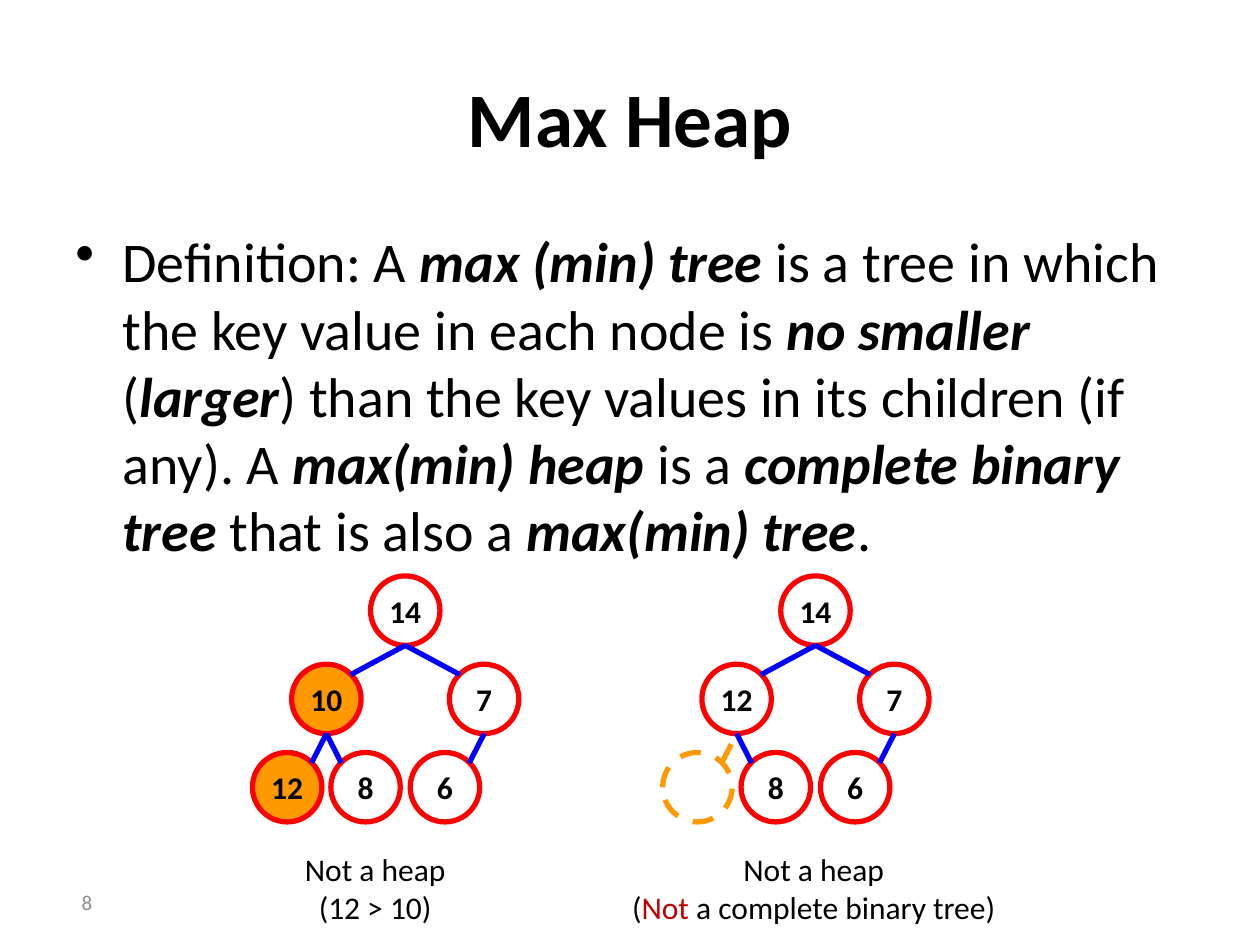
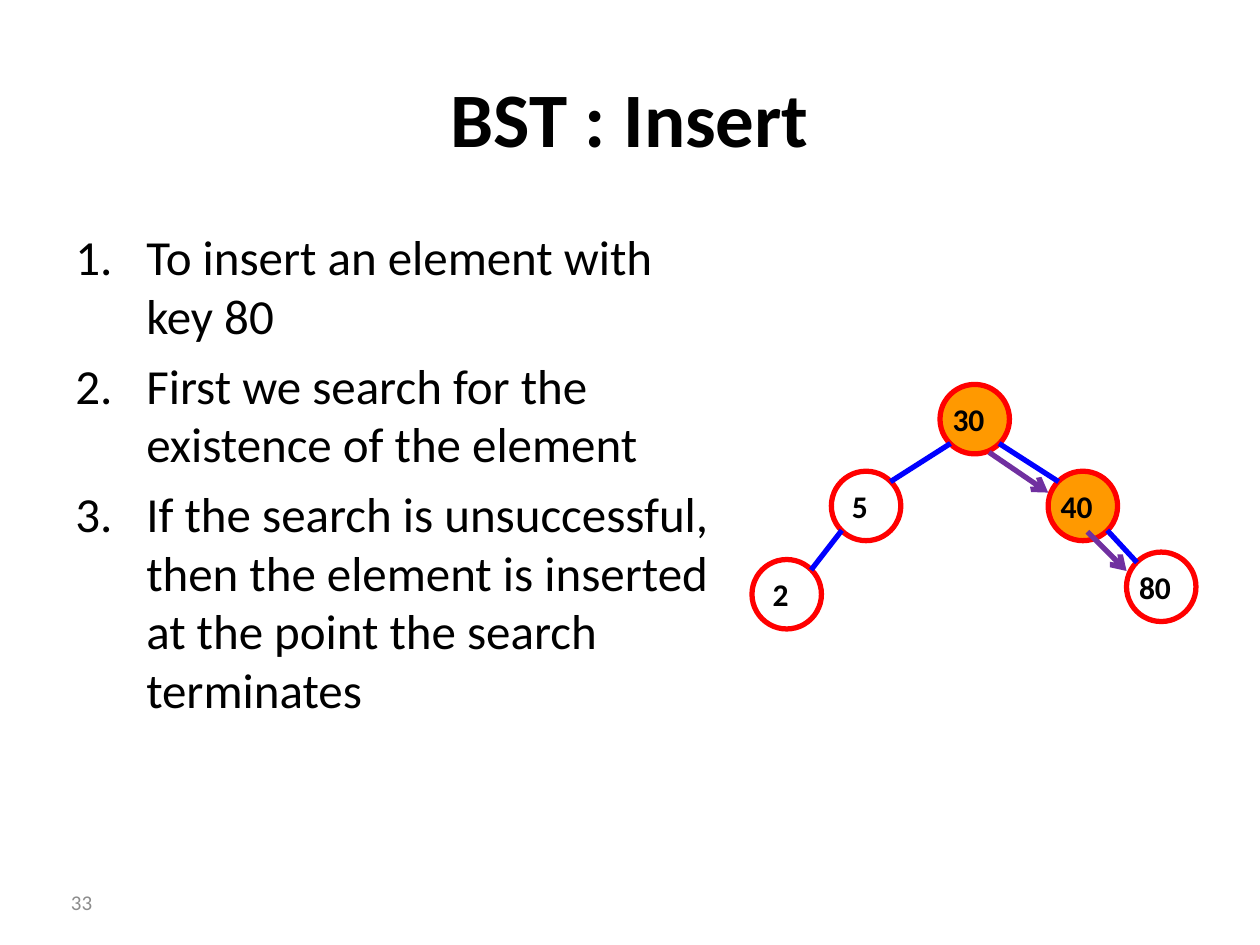
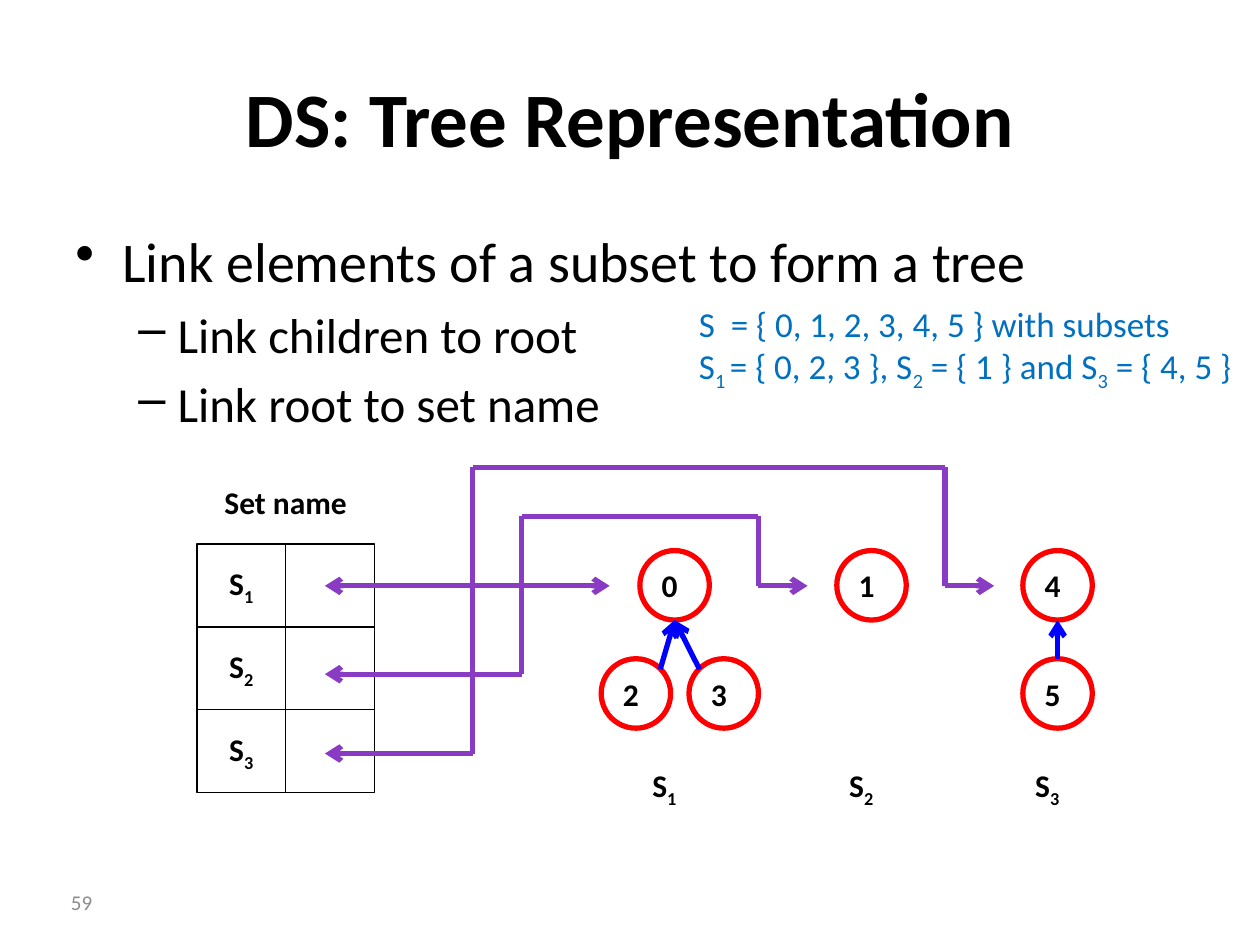
import itertools
import pptx
import pptx.dml.color
import pptx.enum.dml
import pptx.enum.shapes
import pptx.enum.text
import pptx.oxml
import pptx.oxml.ns
import pptx.util

Cm, Pt = pptx.util.Cm, pptx.util.Pt
ALIGN = pptx.enum.text.PP_ALIGN
ANCHOR = pptx.enum.text.MSO_ANCHOR
SHAPE = pptx.enum.shapes.MSO_SHAPE

HUES = {"ink": "000000", "red": "FF0000", "blue": "0000FF", "hot": "FF9900",
        "page": "8C8C8C", "step": "7030A0", "route": "893BC3",
        "note": "0070C0", "alert": "C00000"}
BASE = {"name": "Calibri", "size": Pt(18), "bold": False, "italic": False}
KEY = {"bold": True}
MARKS = {"strong": {"bold": True, "italic": True}, "sub": {"sub": True},
         "alert": {"hue": "alert"}}
DOT = {"tag": "buChar", "attr": 'char="•"', "left": 0.95, "hang": 0.95, "size": 32}
DASH = {"tag": "buChar", "attr": 'char="–"', "left": 2.06, "hang": 0.79, "size": 28}
COUNT = {"tag": "buAutoNum", "attr": 'type="arabicPeriod"', "left": 1.43,
         "hang": 1.43, "size": 28}
SIZE = 1.4
LOW, HIGH = 0.15, 0.85

HEAP = {
    "title": "Max Heap", "page": "8", "wide": 22.86,
    "body": [(DOT, "Definition: A |max (min) tree| is a tree in which the key value in "
              "each node is |no smaller| (|larger|) than the key values in its children "
              "(if any). A |max(min) heap |is a |complete binary tree |that is also a "
              "|max(min) tree|.")],
    "trees": [(8.17, [14, 10, 7, 12, 8, 6], {1, 3}),
              (16.44, [14, 12, 7, None, 8, 6], set())],
    "notes": [((4.29, 16.76, 6.55, 2.27), ["Not a heap", "(12 > 10)"]),
              ((11.3, 16.76, 10.21, 2.27),
               ["Not a heap", "(|Not |a complete binary tree)"])],
}
TOP, ROW, SPREAD = 11.61, 1.78, [0, 1.59, 0.79]

INSERT = {
    "title": "BST : Insert", "page": "33", "wide": 13.44,
    "body": [(COUNT, "To insert an element with key 80"),
             (COUNT, "First we search for the existence of the element"),
             (COUNT, "If the search is unsuccessful, then the element is inserted "
                     "at the point the search terminates")],
    "nodes": {30: (18.95, 7.75), 5: (16.76, 9.5), 40: (21.13, 9.5),
              2: (15.16, 11.28), 80: (22.71, 11.13)},
    "hot": {30, 40},
    "edges": [(30, 5), (30, 40), (5, 2), (40, 80)],
    "steps": [((19.94, 9.12), (21.13, 9.93)), ((21.92, 10.72), (22.71, 11.51))],
}

SETS = {
    "title": "DS: Tree Representation", "page": "59", "wide": 22.86,
    "body": [(DOT, "Link elements of a subset to form a tree"),
             (DASH, "Link children to root"), (DASH, "Link root to set name")],
    "names": ["S|1|", "S|2|", "S|3|"],
    "nodes": {0: (12.9, 11.1), 1: (16.87, 11.1), 4: (20.62, 11.1),
              2: (12.12, 13.28), 3: (13.89, 13.28), 5: (20.62, 13.28)},
    "roots": [0, 1, 4],
    "links": [(3, 0, (LOW, LOW)), (2, 0, (HIGH, LOW)), (5, 4, (0.5, 0))],
    "routes": [
        [(6.55, 11.81), (12.29, 11.81)],
        [(6.55, 13.59), (10.52, 13.59), (10.52, 10.41), (15.29, 10.41),
         (15.29, 11.81), (16.28, 11.81)],
        [(6.55, 15.19), (9.53, 15.19), (9.53, 9.42), (19.05, 9.42),
         (19.05, 11.81), (20.04, 11.81)]],
    "note": ["S  = { 0, 1, 2, 3, 4, 5 } with subsets",
             "S|1 |= { 0, 2, 3 }, S|2| = { 1 } and S|3| = { 4, 5 }"],
}
GRID = {"left": 3.97, "top": 10.97, "wide": 1.79, "high": 1.67}


def tint(name):
    return pptx.dml.color.RGBColor.from_string(HUES[name])


def apply(thing, values):
    for name, value in values.items():
        setattr(thing, name, value)


def write(par, text, form=None, hue="ink", mark="sub", align=ALIGN.LEFT):
    par.alignment = align
    for spot, bit in enumerate(text.split("|")):
        if not bit:
            continue
        extra = dict(MARKS[mark]) if spot % 2 else {}
        low, shade = extra.pop("sub", False), extra.pop("hue", hue)
        run = par.add_run()
        run.text = bit
        apply(run.font, {**BASE, **(form or {}), **extra})
        run.font.color.rgb = tint(shade)
        if low:
            run._r.get_or_add_rPr().set("baseline", "-25000")


def label(slide, box, lines, pad=(0.25, 0.38), anchor=ANCHOR.TOP, **look):
    frame = slide.shapes.add_textbox(*map(Cm, box)).text_frame
    side, edge = map(Cm, pad)
    apply(frame, {"word_wrap": True, "vertical_anchor": anchor, "margin_left": side,
                  "margin_right": side, "margin_top": edge, "margin_bottom": edge})
    for spot, text in enumerate(lines):
        write(frame.add_paragraph() if spot else frame.paragraphs[0], text, **look)


def outline(slide, kind, box, hue, width, text="", fill=None, shift=0, dash=False):
    shape = slide.shapes.add_shape(kind, *map(Cm, box))
    shape.shadow.inherit = False
    if fill:
        shape.fill.solid()
        shape.fill.fore_color.rgb = tint(fill)
    else:
        shape.fill.background()
    shape.line.color.rgb = tint(hue)
    shape.line.width = Pt(width)
    if dash:
        shape.line.dash_style = pptx.enum.dml.MSO_LINE.DASH
    frame = shape.text_frame
    apply(frame, {"word_wrap": True, "vertical_anchor": ANCHOR.MIDDLE,
                  "margin_left": 0, "margin_right": Cm(shift),
                  "margin_top": 0, "margin_bottom": 0})
    write(frame.paragraphs[0], text, KEY, align=ALIGN.CENTER)


def node(slide, place, text, hue="red", **look):
    outline(slide, SHAPE.OVAL, (*place, SIZE, SIZE), hue, 3, text, **look)


def spot(place, part):
    return tuple(at + SIZE * share for at, share in zip(place, part))


def line(slide, start, end, hue, tips=(), dash=False):
    link = slide.shapes.add_connector(pptx.enum.shapes.MSO_CONNECTOR.STRAIGHT,
                                      *map(Cm, (*start, *end)))
    link.line.color.rgb = tint(hue)
    link.line.width = Pt(3)
    if dash:
        link.line.dash_style = pptx.enum.dml.MSO_LINE.DASH
    props = link._element.spPr
    stroke = props.find(pptx.oxml.ns.qn("a:ln"))
    for tip in tips:
        stroke.append(pptx.oxml.parse_xml(
            f'<a:{tip} {pptx.oxml.ns.nsdecls("a")} type="arrow"/>'))
    props.append(pptx.oxml.parse_xml(f'<a:effectLst {pptx.oxml.ns.nsdecls("a")}/>'))


def start(deck, data):
    slide = deck.slides.add_slide(deck.slide_layouts[5])
    title = slide.shapes.title
    apply(title, {"left": Cm(1.27), "top": Cm(0.76),
                  "width": Cm(22.86), "height": Cm(3.18)})
    title.text_frame.vertical_anchor = ANCHOR.MIDDLE
    write(title.text_frame.paragraphs[0], data["title"],
          {"size": Pt(44), "bold": True}, align=ALIGN.CENTER)
    frame = slide.shapes.add_textbox(
        *map(Cm, (1.27, 4.45, data["wide"], 12.57))).text_frame
    frame.word_wrap = True
    for rank, (style, text) in enumerate(data["body"]):
        par = frame.add_paragraph() if rank else frame.paragraphs[0]
        props = par._p.get_or_add_pPr()
        props.set("marL", str(Cm(style["left"])))
        props.set("indent", str(-Cm(style["hang"])))
        props.append(pptx.oxml.parse_xml(
            f'<a:{style["tag"]} {pptx.oxml.ns.nsdecls("a")} {style["attr"]}/>'))
        if rank:
            par.space_before = Pt(6)
        write(par, text, {"size": Pt(style["size"])}, mark="strong")
    label(slide, (0, 17.68, 2.11, 1.02), [data["page"]], (0.25, 0.13), ANCHOR.MIDDLE,
          form={"size": Pt(12)}, hue="page", align=ALIGN.RIGHT)
    return slide


def tree(slide, root, keys, hot):
    places = []
    for rank, key in enumerate(keys):
        level = (rank + 1).bit_length() - 1
        side = -1 if rank % 2 else 1
        base = places[(rank - 1) // 2][0] if rank else root - SIZE / 2
        places.append((base + side * SPREAD[level], TOP + level * ROW))
        if key is None:
            node(slide, places[-1], "", "hot", dash=True)
        else:
            node(slide, places[-1], str(key), fill="hot" if rank in hot else None)
    for rank, key in enumerate(keys[1:], 1):
        corner = (HIGH if rank % 2 else LOW, LOW)
        line(slide, spot(places[rank], corner),
             spot(places[(rank - 1) // 2], (0.5, 1)),
             "hot" if key is None else "blue", dash=key is None)


def heap(deck):
    slide = start(deck, HEAP)
    for root, keys, hot in HEAP["trees"]:
        tree(slide, root, keys, hot)
    for box, lines in HEAP["notes"]:
        label(slide, box, lines, mark="alert", align=ALIGN.CENTER)


def insert(deck):
    slide = start(deck, INSERT)
    nodes = INSERT["nodes"]
    for key, place in nodes.items():
        node(slide, place, str(key), shift=0.25,
             fill="hot" if key in INSERT["hot"] else None)
    for top, low in INSERT["edges"]:
        near, far = (LOW, HIGH) if low < top else (HIGH, LOW)
        line(slide, spot(nodes[low], (far, LOW)), spot(nodes[top], (near, HIGH)), "blue")
    for begin, end in INSERT["steps"]:
        line(slide, begin, end, "step", ["tailEnd"])


def sets(deck):
    slide = start(deck, SETS)
    nodes = SETS["nodes"]
    wide, high = GRID["wide"], GRID["high"]
    for row, name in enumerate(SETS["names"]):
        for col, text in enumerate([name, ""]):
            box = (GRID["left"] + col * wide, GRID["top"] + row * high, wide, high)
            outline(slide, SHAPE.RECTANGLE, box, "ink", 0.75, text)
    label(slide, (GRID["left"], 9.35, 2 * wide, 1.55), ["Set name"],
          form=KEY, align=ALIGN.CENTER)
    for key, place in nodes.items():
        node(slide, place, str(key), shift=0.2)
    for root, name in zip(SETS["roots"], SETS["names"]):
        label(slide, (nodes[root][0], 15.06, 1.57, 1.68), [name], form=KEY)
    for route in SETS["routes"]:
        legs = list(itertools.pairwise(route))
        for rank, (begin, end) in enumerate(legs):
            tips = ["headEnd"] * (rank == 0) + ["tailEnd"] * (rank == len(legs) - 1)
            line(slide, begin, end, "route", tips)
    for low, top, part in SETS["links"]:
        line(slide, spot(nodes[low], part), spot(nodes[top], (0.5, 1)),
             "blue", ["tailEnd"])
    label(slide, (13.84, 5.97, 11.5, 1.96), SETS["note"], (0.25, 0.13),
          form={"size": Pt(20)}, hue="note")


def main():
    deck = pptx.Presentation()
    deck.slide_width, deck.slide_height = Cm(25.4), Cm(19.05)
    for build in (heap, insert, sets):
        build(deck)
    deck.save("out.pptx")


if __name__ == "__main__":
    main()
